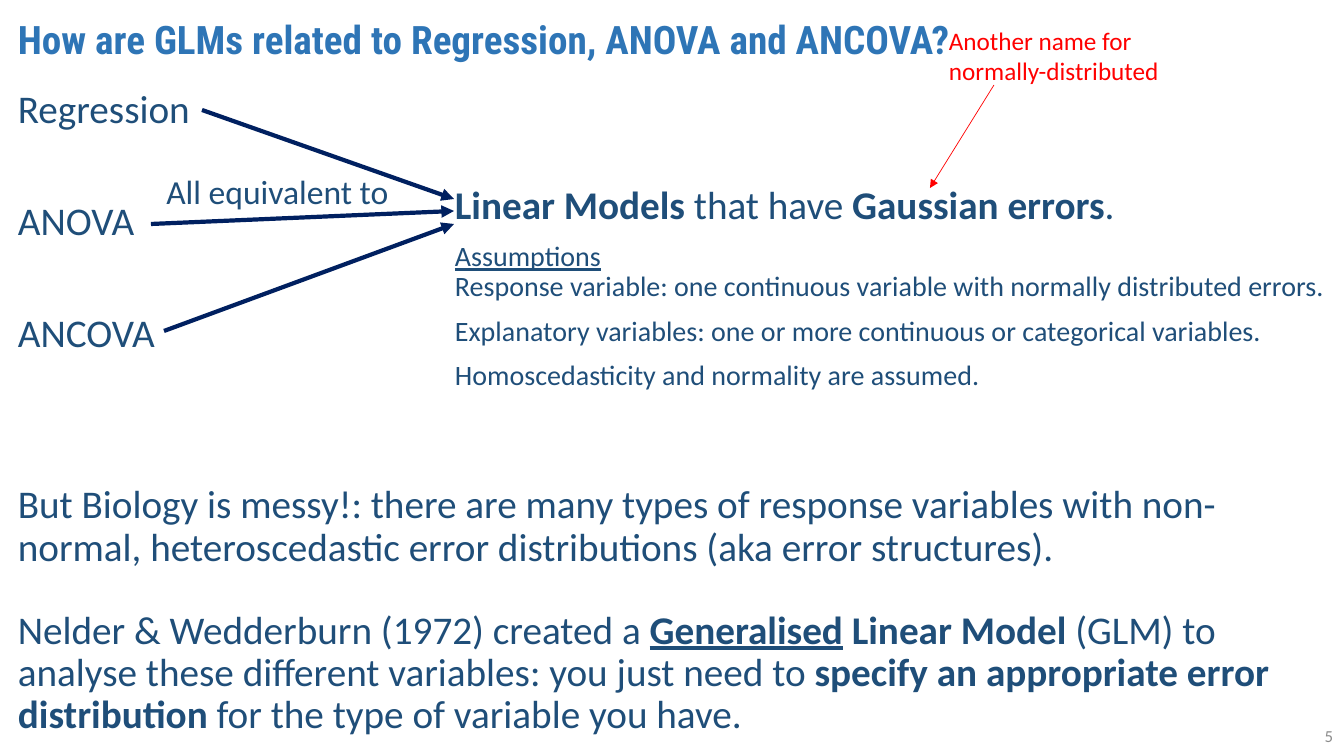
"""Build a slide relating GLMs to regression, ANOVA and ANCOVA."""
from lxml import etree
from pptx import Presentation
from pptx import util as u
from pptx.dml.color import RGBColor
from pptx.enum import shapes, text
from pptx.oxml.ns import qn

SLIDE_WIDTH, SLIDE_HEIGHT = 1344, 756
EMU_PER_PX = 914400 * 10 / 1008
BLUE, NAVY, TITLE_BLUE, RED, GREY = "1F4E79", "002060", "2E75B6", "FF0000", "8C8C8C"
PLAIN, BOLD, UNDERLINED, BOLD_UNDERLINED = "", "b", "u", "bu"

TITLE = "How are GLMs related to Regression, ANOVA and ANCOVA?"
METHODS = ["Regression", "ANOVA", "ANCOVA"]
METHOD_TOP, METHOD_STEP = 85, 112

# Each paragraph: size, space before, runs of (text, style)
MODEL = [
    (28, 0, [("Linear Models ", BOLD), ("that have ", PLAIN),
             ("Gaussian errors", BOLD), (".", PLAIN)]),
    (20, 10, [("Assumptions", UNDERLINED)]),
    (20, 0, [("Response variable: one continuous variable with normally distributed errors.", PLAIN)]),
    (20, 10, [("Explanatory variables: one or more continuous or categorical variables.", PLAIN)]),
    (20, 10, [("Homoscedasticity and normality are assumed.", PLAIN)]),
]
MESSY = [
    (28, 0, [("But Biology is messy!: there are many types of response variables with "
              "non-normal, heteroscedastic error distributions (aka error structures).", PLAIN)]),
    (28, 29, [("Nelder & Wedderburn (1972) created a ", PLAIN),
              ("Generalised", BOLD_UNDERLINED), (" Linear Model ", BOLD),
              ("(GLM) to analyse these different variables: you just need to ", PLAIN),
              ("specify an appropriate error distribution", BOLD),
              (" for the type of variable you have.", PLAIN)]),
]
ARROWS = [
    ((202, 110), (454, 199), NAVY, 3),
    ((151, 224), (454, 211), NAVY, 3),
    ((164, 331), (454, 224), NAVY, 3),
    ((994, 85), (930, 188), RED, 0.5),
]


def px(length):
    return u.Emu(round(length * EMU_PER_PX))


def color(value):
    return RGBColor.from_string(value)


def add_text(slide, box, paragraphs, fill=BLUE, font="Calibri", spacing=0.9,
             align=text.PP_ALIGN.LEFT, anchor=text.MSO_ANCHOR.TOP):
    frame = slide.shapes.add_textbox(*map(px, box)).text_frame
    frame.word_wrap = True
    frame.vertical_anchor = anchor
    for index, (size, before, runs) in enumerate(paragraphs):
        paragraph = frame.add_paragraph() if index else frame.paragraphs[0]
        paragraph.alignment = align
        paragraph.line_spacing = spacing
        paragraph.space_before = u.Pt(before)
        for content, style in runs:
            run = paragraph.add_run()
            run.text = content
            run.font.name = font
            run.font.size = u.Pt(size)
            run.font.bold = "b" in style
            run.font.underline = "u" in style
            run.font.color.rgb = color(fill)


def add_arrow(slide, start, end, fill, width):
    arrow = slide.shapes.add_connector(
        shapes.MSO_CONNECTOR.STRAIGHT, *map(px, start + end))
    arrow.line.color.rgb = color(fill)
    arrow.line.width = u.Pt(width)
    properties = arrow.element.spPr
    line = properties.find(qn("a:ln"))
    etree.SubElement(line, qn("a:tailEnd"), type="triangle")
    etree.SubElement(properties, qn("a:effectLst"))


def main():
    presentation = Presentation()
    presentation.slide_width = px(SLIDE_WIDTH)
    presentation.slide_height = px(SLIDE_HEIGHT)
    slide = presentation.slides.add_slide(presentation.slide_layouts[6])

    add_text(slide, (8, 12, 1327, 60), [(28, 0, [(TITLE, BOLD)])], TITLE_BLUE,
             "Roboto Condensed", anchor=text.MSO_ANCHOR.MIDDLE)
    for index, method in enumerate(METHODS):
        add_text(slide, (8, METHOD_TOP + index * METHOD_STEP, 200, 54),
                 [(28, 0, [(method, PLAIN)])])
    add_text(slide, (8, 480, 1327, 270), MESSY)
    add_text(slide, (1041, 716, 302, 40), [(12, 0, [("5", PLAIN)])], GREY, spacing=1.0,
             align=text.PP_ALIGN.RIGHT, anchor=text.MSO_ANCHOR.MIDDLE)
    add_text(slide, (445, 181, 897, 276), MODEL)
    for arrow in ARROWS:
        add_arrow(slide, *arrow)
    add_text(slide, (123, 171, 309, 80), [(24, 0, [("All equivalent to", PLAIN)])],
             align=text.PP_ALIGN.CENTER)
    add_text(slide, (939, 20, 253, 72),
             [(18, 0, [("Another name for normally-distributed", PLAIN)])], RED, spacing=1.0)

    presentation.save("out.pptx")


if __name__ == "__main__":
    main()
